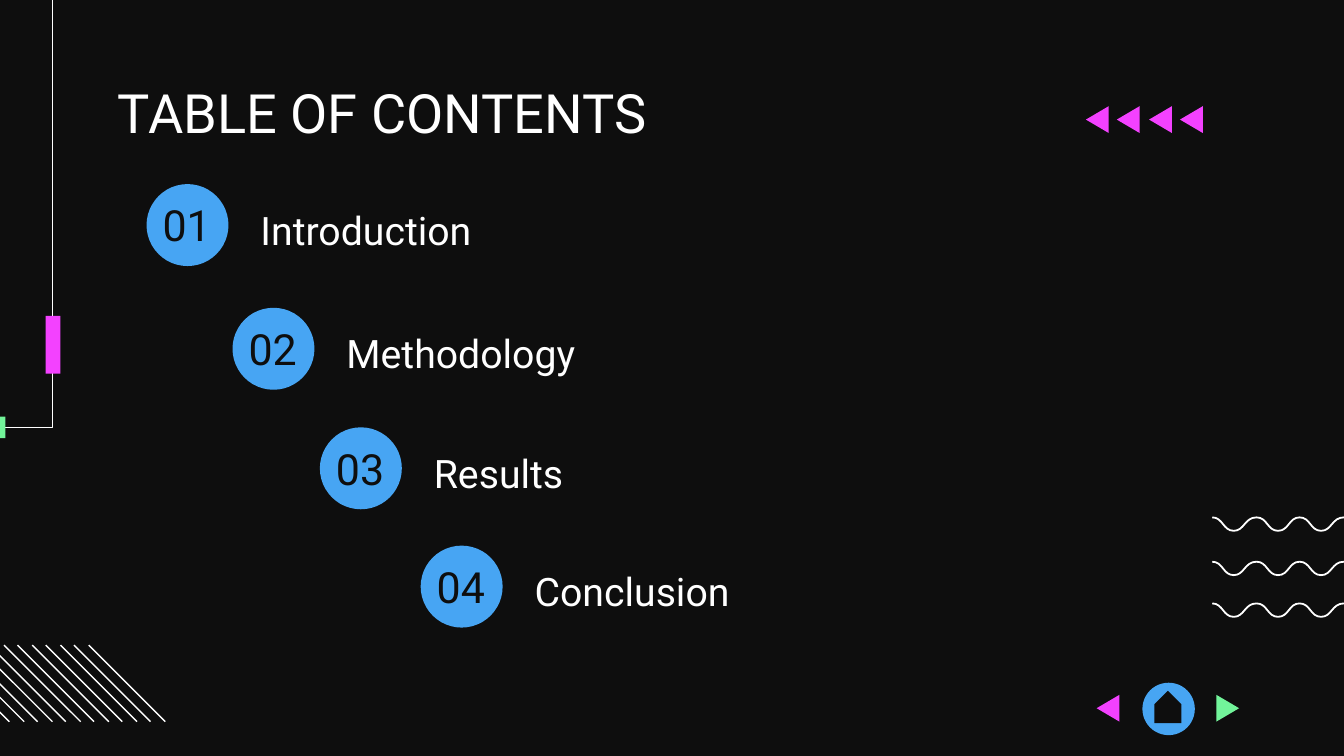
from dataclasses import dataclass

from pptx import Presentation
from pptx.dml.color import RGBColor
from pptx.enum.shapes import MSO_CONNECTOR as Connector, MSO_SHAPE as Shape
from pptx.enum.text import MSO_ANCHOR as Anchor, PP_ALIGN as Align
from pptx.oxml.ns import qn
from pptx.util import Pt
from lxml.etree import SubElement

EMU_PER_PX = 9144  # 100 px to the inch


@dataclass(frozen=True)
class Theme:
    background: str = "0E0E0E"
    white: str = "FFFFFF"
    blue: str = "47A5F3"
    pink: str = "F341FF"
    green: str = "72F49A"
    font: str = "Roboto"
    title_size: int = 29
    number_size: int = 23
    label_size: int = 21
    thin: float = 0.75
    wave: float = 0.95


THEME = Theme()

# Section name, then left and top of its circle
SECTIONS = [
    ("Introduction", 109, 137),
    ("Methodology", 173, 229),
    ("Results", 238, 318),
    ("Conclusion", 313, 406),
]


def px(length):
    return int(length * EMU_PER_PX)


def rgb(color):
    return RGBColor.from_string(color)


def paint_solid(shape, color):
    shape.shadow.inherit = False
    shape.fill.solid()
    shape.fill.fore_color.rgb = rgb(color)
    shape.line.fill.background()


def paint_line(shape, width):
    shape.line.color.rgb = rgb(THEME.white)
    shape.line.width = Pt(width)


def add_preset(page, kind, left, top, width, height, color):
    shape = page.shapes.add_shape(kind, px(left), px(top), px(width), px(height))
    paint_solid(shape, color)
    return shape


def add_outline(page, points, close):
    builder = page.shapes.build_freeform(*points[0], scale=EMU_PER_PX)
    builder.add_line_segments(points[1:], close=close)
    return builder.convert_to_shape()


def add_open_line(page, points, width):
    shape = add_outline(page, points, close=False)
    shape.shadow.inherit = False
    shape.fill.background()
    paint_line(shape, width)
    return shape


def add_triangle(page, left, top, color, points_left=True):
    width, height = 17, 20
    base, tip = (left + width, left) if points_left else (left, left + width)
    points = [(base, top), (tip, top + height // 2), (base, top + height)]
    paint_solid(add_outline(page, points, close=True), color)


def add_wave(page, top):
    """Draw crests and troughs as a polyline, then bend each segment into an S curve."""
    left, width, halves, depth = 902, 114, 7, 10
    points = [(left + round(i * width / halves), top + depth * (i % 2))
              for i in range(halves + 1)]
    shape = add_open_line(page, points, THEME.wave)
    start = next(shape.element.iter(qn("a:moveTo")))[0]
    for segment in list(shape.element.iter(qn("a:lnTo"))):
        end = segment[0]
        middle = str((int(start.get("x")) + int(end.get("x"))) // 2)
        segment.tag = qn("a:cubicBezTo")
        for index, anchor in enumerate((start, end)):
            control = SubElement(segment, qn("a:pt"), x=middle, y=anchor.get("y"))
            segment.insert(index, control)
        start = end


def add_straight_line(page, x1, y1, x2, y2):
    line = page.shapes.add_connector(
        Connector.STRAIGHT, px(x1), px(y1), px(x2), px(y2))
    paint_line(line, THEME.thin)
    SubElement(line.element.spPr, qn("a:effectLst"))


def add_text(page, text, frame, size, color, inset_top=0, align=Align.LEFT):
    box = page.shapes.add_textbox(*map(px, frame))
    text_frame = box.text_frame
    text_frame.word_wrap = True
    text_frame.vertical_anchor = Anchor.TOP
    text_frame.margin_left = text_frame.margin_right = px(10)
    text_frame.margin_top, text_frame.margin_bottom = px(inset_top), px(10)
    para = text_frame.paragraphs[0]
    para.alignment = align
    span = para.add_run()
    span.text = text
    span.font.name = THEME.font
    span.font.size = Pt(size)
    span.font.color.rgb = rgb(color)
    return para


def add_section(page, number, name, left, top):
    add_preset(page, Shape.OVAL, left, top, 61, 61, THEME.blue)
    add_text(page, f"{number:02}", (left - 15, top - 9, 90, 61), THEME.number_size,
             THEME.background, inset_top=20, align=Align.CENTER)
    label = add_text(page, name, (left + 75, top + 11, 316, 39),
                     THEME.label_size, THEME.white)
    label.line_spacing = 1.15
    label.space_after = Pt(12)


def add_decoration(page):
    for top in (385, 418, 449):
        add_wave(page, top)
    hatch_count, hatch_size = 12, 57
    for i in range(hatch_count):
        left = round(-50 + i * 116 / (hatch_count - 1))
        add_straight_line(page, left, 480, left + hatch_size, 480 + hatch_size)
    add_open_line(page, [(-393, 318), (39, 318), (39, -22)], THEME.thin)
    add_preset(page, Shape.RECTANGLE, -12, 310, 16, 16, THEME.green)
    add_preset(page, Shape.RECTANGLE, 34, 235, 11, 43, THEME.pink)
    for i in range(4):
        add_triangle(page, round(808 + i * 70 / 3), 79, THEME.pink)


def add_navigation(page):
    add_preset(page, Shape.OVAL, 850, 508, 39, 39, THEME.blue)
    home = add_preset(page, Shape.PENTAGON, 857, 516, 24, 20, THEME.background)
    home.rotation = 270
    add_triangle(page, 816, 517, THEME.pink)
    add_triangle(page, 905, 517, THEME.green, points_left=False)


def main():
    deck = Presentation()
    deck.slide_width = px(1000)
    deck.slide_height = deck.slide_width * 9 // 16
    page = deck.slides.add_slide(deck.slide_layouts[6])
    page.background.fill.solid()
    page.background.fill.fore_color.rgb = rgb(THEME.background)

    add_decoration(page)
    add_text(page, "TABLE OF CONTENTS", (78, 59, 844, 46), THEME.title_size, THEME.white)
    for number, section in enumerate(SECTIONS, start=1):
        add_section(page, number, *section)
    add_navigation(page)
    deck.save("out.pptx")


if __name__ == "__main__":
    main()
